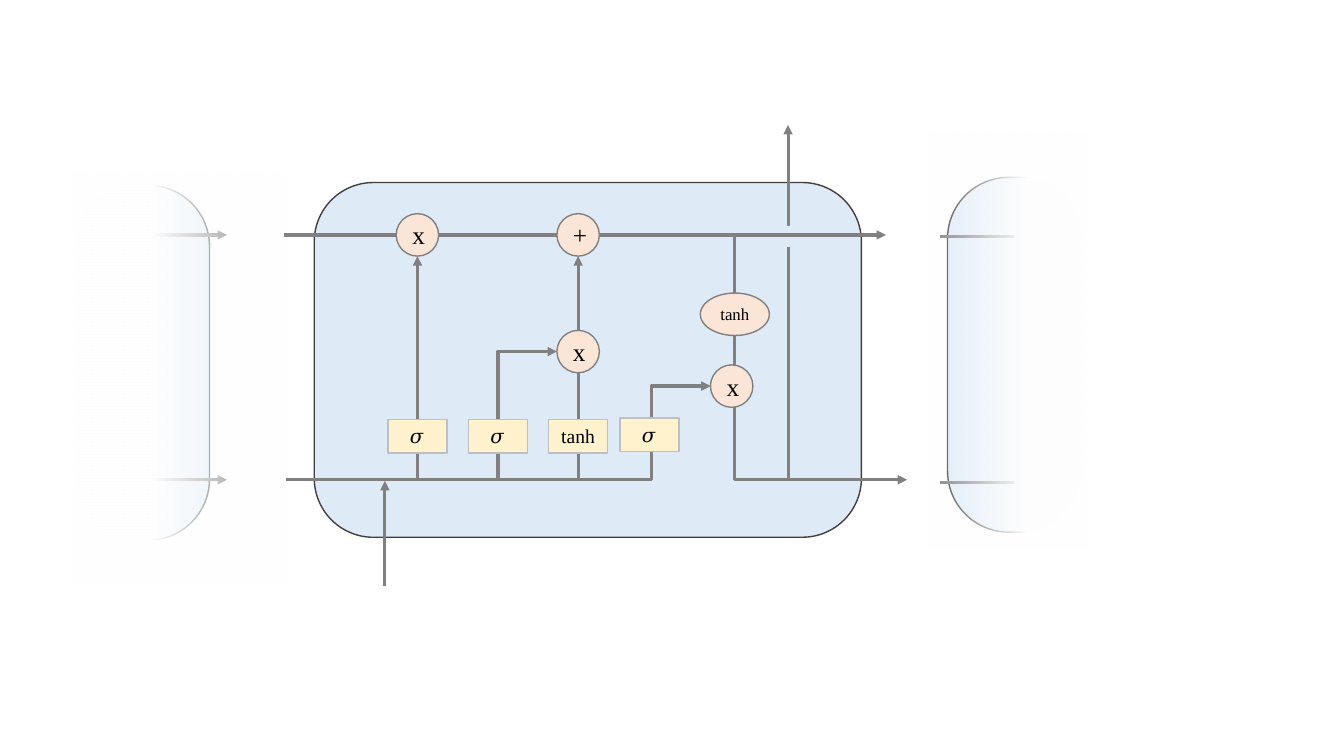
"""Build a slide with an LSTM cell between two fading neighbour cells."""
from lxml import etree
from pptx import Presentation
from pptx.dml.color import RGBColor
from pptx.enum.shapes import MSO_CONNECTOR, MSO_SHAPE
from pptx.enum.text import MSO_ANCHOR, PP_ALIGN
from pptx.oxml.ns import qn
from pptx.util import Cm, Pt

RECT, ROUNDED, OVAL = MSO_SHAPE.RECTANGLE, MSO_SHAPE.ROUNDED_RECTANGLE, MSO_SHAPE.OVAL
STRAIGHT, ELBOW = MSO_CONNECTOR.STRAIGHT, MSO_CONNECTOR.ELBOW
MIDDLE, CENTER = MSO_ANCHOR.MIDDLE, PP_ALIGN.CENTER

WHITE = RGBColor(0xFF, 0xFF, 0xFF)
BLACK = RGBColor(0x00, 0x00, 0x00)
CELL_FILL = RGBColor(0xDE, 0xEB, 0xF7)
CELL_LINE = RGBColor(0x40, 0x40, 0x40)
WIRE = RGBColor(0x80, 0x80, 0x80)
OP_FILL = RGBColor(0xFB, 0xE5, 0xD6)
GATE_FILL = RGBColor(0xFF, 0xF2, 0xCC)
GATE_LINE = RGBColor(0xBF, 0xBF, 0xBF)
FONT = "Times New Roman"

STATE_Y, HIDDEN_Y = 5.92, 12.09
FORGET_X, INPUT_X, CANDIDATE_X, OUTPUT_X = 10.52, 12.55, 14.57, 16.37
OP_SIZE = 1.07
OP_R = OP_SIZE / 2

prs = Presentation()
prs.slide_width, prs.slide_height = Cm(33.87), Cm(19.05)
s = prs.slides.add_slide(prs.slide_layouts[6])


def add_box(kind, left, top, width, height, fill=None, line=None):
    sp = s.shapes.add_shape(kind, Cm(left), Cm(top), Cm(width), Cm(height))
    sp.shadow.inherit = False
    if fill is not None:
        sp.fill.solid()
        sp.fill.fore_color.rgb = fill
    if line is None:
        sp.line.fill.background()
    else:
        sp.line.color.rgb = line
        sp.line.width = Pt(1)
    return sp


def add_wire(x1, y1, x2, y2, bend=None, arrow=True):
    kind = STRAIGHT if bend is None else ELBOW
    c = s.shapes.add_connector(kind, Cm(x1), Cm(y1), Cm(x2), Cm(y2))
    c.line.color.rgb = WIRE
    c.line.width = Pt(2.25)
    sp_pr = c._element.spPr
    if arrow:
        etree.SubElement(sp_pr.find(qn("a:ln")), qn("a:tailEnd"), type="triangle")
    etree.SubElement(sp_pr, qn("a:effectLst"))
    if bend is not None:
        guides = sp_pr.find(qn("a:prstGeom")).find(qn("a:avLst"))
        etree.SubElement(guides, qn("a:gd"), name="adj1", fmla=f"val {round(bend * 100000)}")


add_box(ROUNDED, 7.92, 4.6, 13.79, 8.94, CELL_FILL, CELL_LINE)
add_wire(19.86, HIDDEN_Y, 19.86, 3.15)
add_box(RECT, 19.38, 5.69, 0.99, 0.53, CELL_FILL)

for wire in [
    (7.16, STATE_Y, 22.33, STATE_Y),
    (FORGET_X, HIDDEN_Y, FORGET_X, STATE_Y + OP_R),
    (CANDIDATE_X, HIDDEN_Y, CANDIDATE_X, STATE_Y + OP_R),
    (CANDIDATE_X + OP_R, STATE_Y, 22.86, HIDDEN_Y, 0.44),
    (7.21, HIDDEN_Y, 17.91, 9.73, 0.86),
    (INPUT_X, HIDDEN_Y, CANDIDATE_X - OP_R, 8.86, 0),
    (9.7, 14.76, 9.7, 12.12),
]:
    add_wire(*wire)

ops = [
    ("x", FORGET_X, STATE_Y, OP_SIZE, 18),
    ("+", CANDIDATE_X, STATE_Y, OP_SIZE, 18),
    ("x", CANDIDATE_X, 8.86, OP_SIZE, 18),
    ("tanh", 18.52, 7.92, 1.74, 12),
    ("x", 18.44, 9.73, OP_SIZE, 18),
]
gates = [
    ("𝜎", FORGET_X, 10.99, 1.49, 14),
    ("𝜎", INPUT_X, 10.99, 1.49, 14),
    ("tanh", CANDIDATE_X, 10.99, 1.49, 14),
    ("𝜎", OUTPUT_X, 10.96, 1.49, 14),
]
for nodes, kind, height, fill, line in [
    (ops, OVAL, OP_SIZE, OP_FILL, WIRE),
    (gates, RECT, 0.85, GATE_FILL, GATE_LINE),
]:
    for text, x, y, width, size in nodes:
        sp = add_box(kind, x - width / 2, y - height / 2, width, height, fill, line)
        tf = sp.text_frame
        tf.text = text
        tf.vertical_anchor = MIDDLE
        if size == 12:
            tf.margin_left = tf.margin_right = 0
        p = tf.paragraphs[0]
        p.alignment = CENTER
        r = p.runs[0]
        r.font.name, r.font.size, r.font.color.rgb = FONT, Pt(size), BLACK

neighbours = [
    ((23.88, 4.47), 0, (23.7, 25.55), (5.96, 12.16), False, (20.17, 6.48, 10.44, 4.17), 270),
    ((1.93, 4.67), 180, (3.61, 5.72), (STATE_Y, HIDDEN_Y), True, (-0.76, 6.76, 10.44, 5.54), 90),
]
for (left, top), turn, (x1, x2), wire_ys, arrow, fade, fade_turn in neighbours:
    sp = add_box(ROUNDED, left, top, 3.35, 8.94, CELL_FILL, CELL_LINE)
    sp.adjustments[0] = 0.46
    sp.rotation = turn
    for y in wire_ys:
        add_wire(x1, y, x2, y, arrow=arrow)
    sp = add_box(RECT, *fade)
    sp.rotation = fade_turn
    sp.fill.gradient()
    sp.fill.gradient_angle = 270
    for stop, position in zip(sp.fill.gradient_stops, (0, 0.62)):
        stop.color.rgb = WHITE
        stop.position = position
    clear = sp._element.spPr.find(qn("a:gradFill")).find(".//" + qn("a:srgbClr"))
    etree.SubElement(clear, qn("a:alpha"), val="0")

prs.save("out.pptx")
